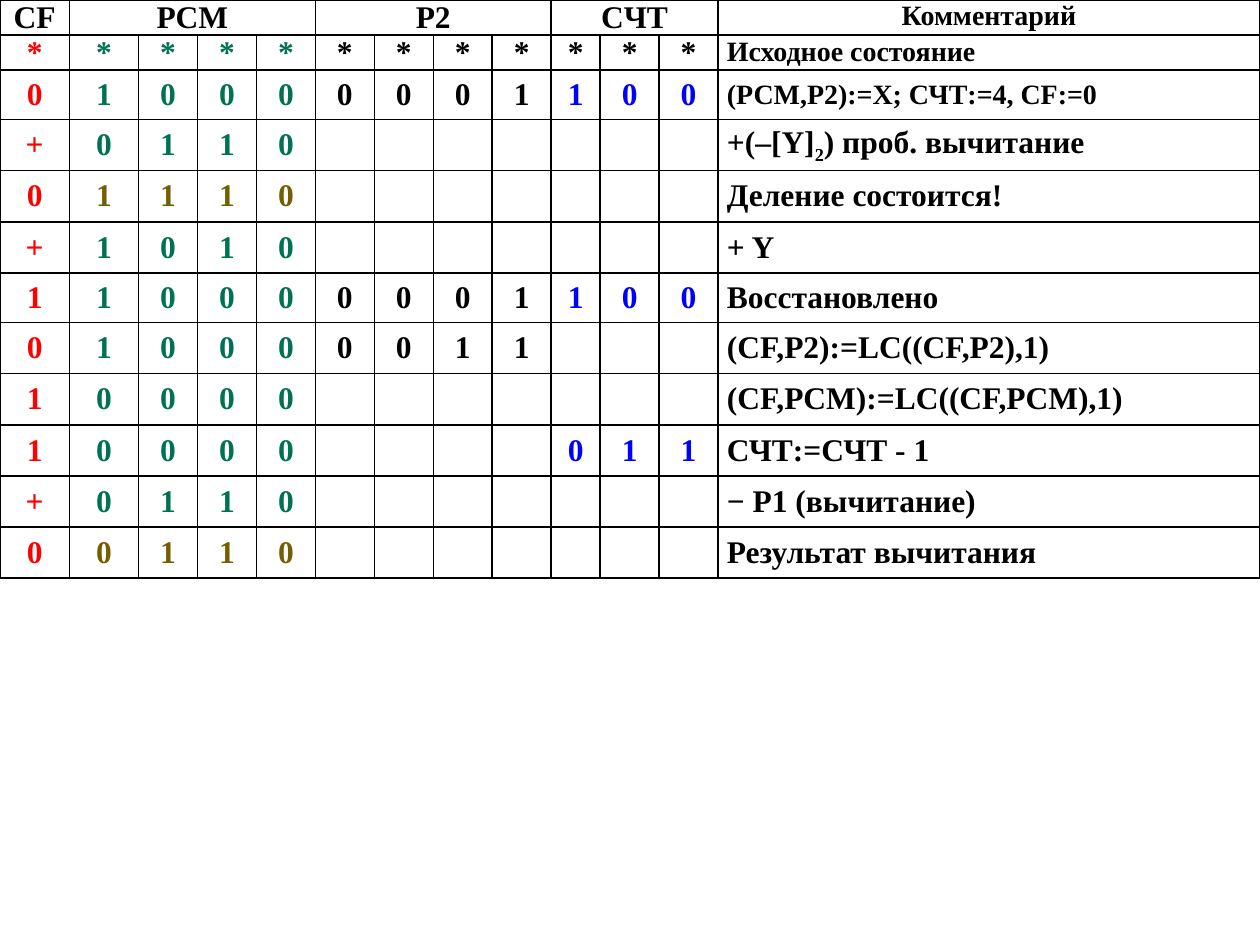
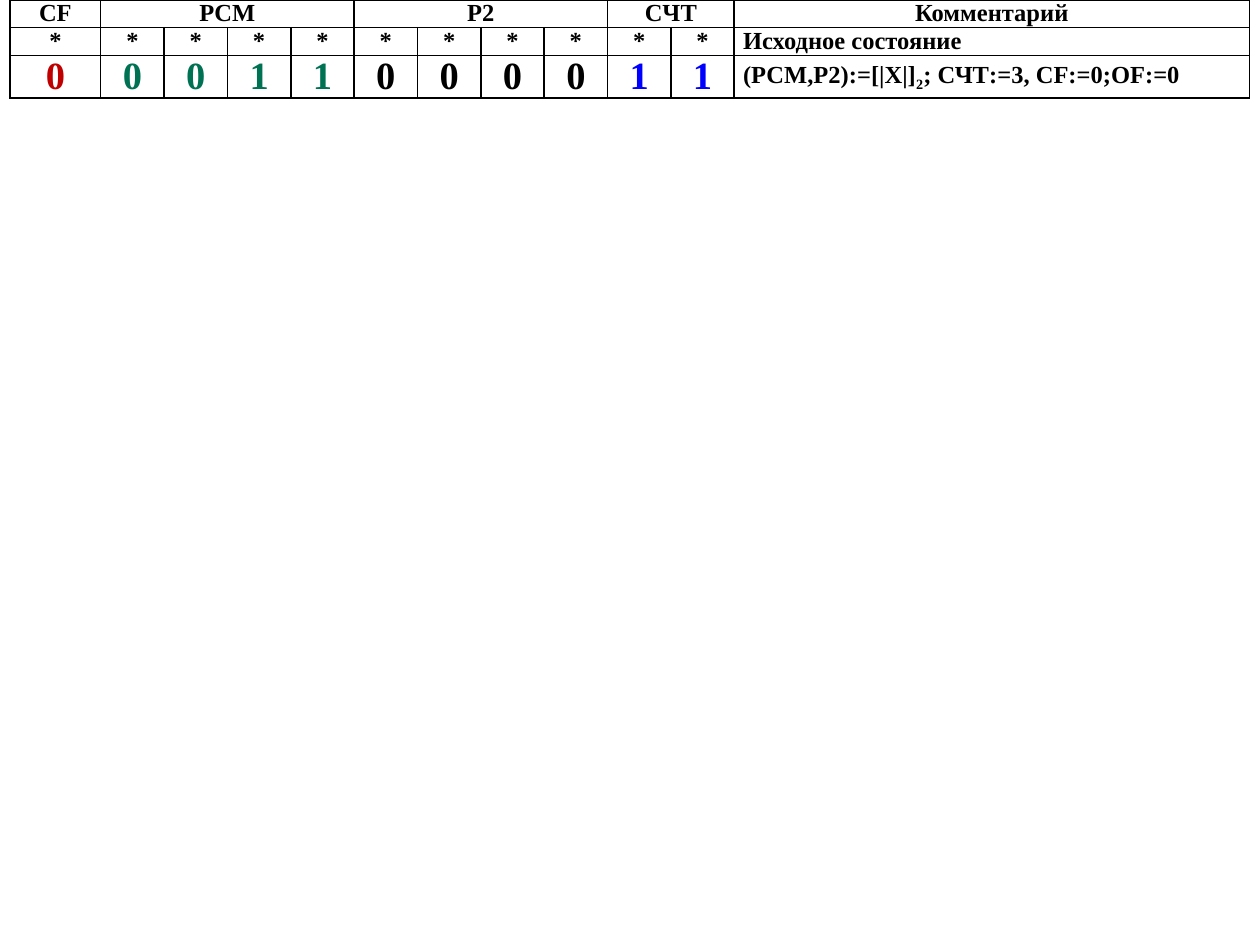
from lxml.etree import SubElement
from pptx import Presentation
from pptx.dml.color import RGBColor
from pptx.enum.text import MSO_ANCHOR, PP_ALIGN
from pptx.oxml.ns import qn
from pptx.util import Inches, Pt

FONT = "Times New Roman"
BLACK, RED, DARK_RED = "000000", "FF0000", "C00000"
GREEN, OLIVE, BLUE = "007254", "745E00", "0000FF"

# Colours of the register groups CF, PCM, P2 and the counter
PLAIN = (BLACK, BLACK, BLACK, BLACK)
START = (RED, GREEN, BLACK, BLACK)
STEP = (RED, GREEN, BLACK, BLUE)
DIFFERENCE = (RED, OLIVE, BLACK, BLUE)
LOADED = (DARK_RED, GREEN, BLACK, BLUE)

HEADINGS = ("CF", "PCM", "P2", "CЧТ", "Комментарий")

# Row: contents of the four groups, comment, colours, digit size, comment size
DIVISION_ROWS = [
    (("*", "****", "****", "***"), "Исходное состояние", START, 18, 16),
    (("0", "1000", "0001", "100"), "(РСМ,Р2):=Х; СЧТ:=4, CF:=0", STEP, 18, 16),
    (("+", "0110", "", ""), "+(–[Y]_2_) проб. вычитание", STEP, 18, 18),
    (("0", "1110", "", ""), "Деление состоится!", DIFFERENCE, 18, 18),
    (("+", "1010", "", ""), "+ Y", STEP, 18, 18),
    (("1", "1000", "0001", "100"), "Восстановлено", STEP, 18, 18),
    (("0", "1000", "0011", ""), "(CF,P2):=LC((CF,P2),1)", STEP, 18, 18),
    (("1", "0000", "", ""), "(CF,PСМ):=LC((CF,PСМ),1)", STEP, 18, 18),
    (("1", "0000", "", "011"), "СЧТ:=СЧТ - 1", STEP, 18, 18),
    (("+", "0110", "", ""), "− Р1 (вычитание)", STEP, 18, 18),
    (("0", "0110", "", ""), "Результат вычитания", DIFFERENCE, 18, 18),
]
MODULUS_ROWS = [
    (("*", "****", "****", "**"), "Исходное состояние", PLAIN, 14, 14),
    (("0", "0011", "0000", "11"), "(РСМ,Р2):=[|Х|]_2_; СЧТ:=3, CF:=0;OF:=0", LOADED, 22, 14),
]

bit = 4.21 / 9
TABLES = [
    dict(left=0, groups=(1, 4, 4, 3), rows=DIVISION_ROWS, heading_sizes=(18, 18, 18, 18, 16),
         widths=[0.55, 0.55] + [bit] * 7 + [0.39] + [bit] * 2 + [4.3],
         heights=[0.27] * 2 + [3.95 / 10] * 10),
    dict(left=0.08, groups=(1, 4, 4, 2), rows=MODULUS_ROWS, heading_sizes=(14,) * 5,
         widths=[0.72] + [5.03 / 10] * 10 + [4.09],
         heights=[0.22, 0.22, 0.34]),
]


def write(cell, text, size=18, color=BLACK, align=PP_ALIGN.CENTER, anchor=MSO_ANCHOR.MIDDLE):
    """Fill a cell with bold text; a part between underscores is a subscript."""
    cell.margin_left = cell.margin_right = Inches(0.07)
    cell.margin_top = cell.margin_bottom = 0
    cell.vertical_anchor = anchor
    p = cell.text_frame.paragraphs[0]
    p.alignment = align
    p.space_after = Pt(1)
    for i, part in enumerate(text.split("_")):
        r = p.add_run()
        r.text = part
        r.font.name = FONT
        r.font.size = Pt(size)
        r.font.bold = True
        r.font.color.rgb = RGBColor.from_string(color)
        if i % 2:
            r.font._element.set("baseline", "-25000")


def outline(cell):
    """Draw black borders on all four sides and leave the cell unfilled."""
    tcPr = cell._tc.get_or_add_tcPr()
    for side in ("a:lnL", "a:lnR", "a:lnT", "a:lnB"):
        ln = SubElement(tcPr, qn(side), w=str(Pt(1)))
        SubElement(SubElement(ln, qn("a:solidFill")), qn("a:srgbClr"), val=BLACK)
    cell.fill.background()


prs = Presentation()
prs.slide_width, prs.slide_height = Inches(10), Inches(7.5)

for t in TABLES:
    s = prs.slides.add_slide(prs.slide_layouts[6])
    widths, heights, groups = t["widths"], t["heights"], t["groups"]
    table = s.shapes.add_table(len(heights), len(widths), Inches(t["left"]), 0,
                               Inches(sum(widths)), Inches(sum(heights))).table
    table.first_row = table.horz_banding = False
    for column, width in zip(table.columns, widths):
        column.width = Inches(width)
    for row, height in zip(table.rows, heights):
        row.height = Inches(height)
    for cell in table.iter_cells():
        outline(cell)

    starts = [sum(groups[:i]) for i in range(len(groups) + 1)]
    for heading, start, span, size in zip(HEADINGS, starts, groups + (1,), t["heading_sizes"]):
        cell = table.cell(0, start)
        if span > 1:
            cell.merge(table.cell(0, start + span - 1))
        write(cell, heading, size=size, anchor=MSO_ANCHOR.TOP)

    for i, (contents, comment, colors, size, comment_size) in enumerate(t["rows"], 1):
        for start, digits, color in zip(starts, contents, colors):
            for j, digit in enumerate(digits, start):
                write(table.cell(i, j), digit, size=size, color=color)
        write(table.cell(i, starts[-1]), comment, size=comment_size, align=PP_ALIGN.LEFT)

prs.save("out.pptx")
